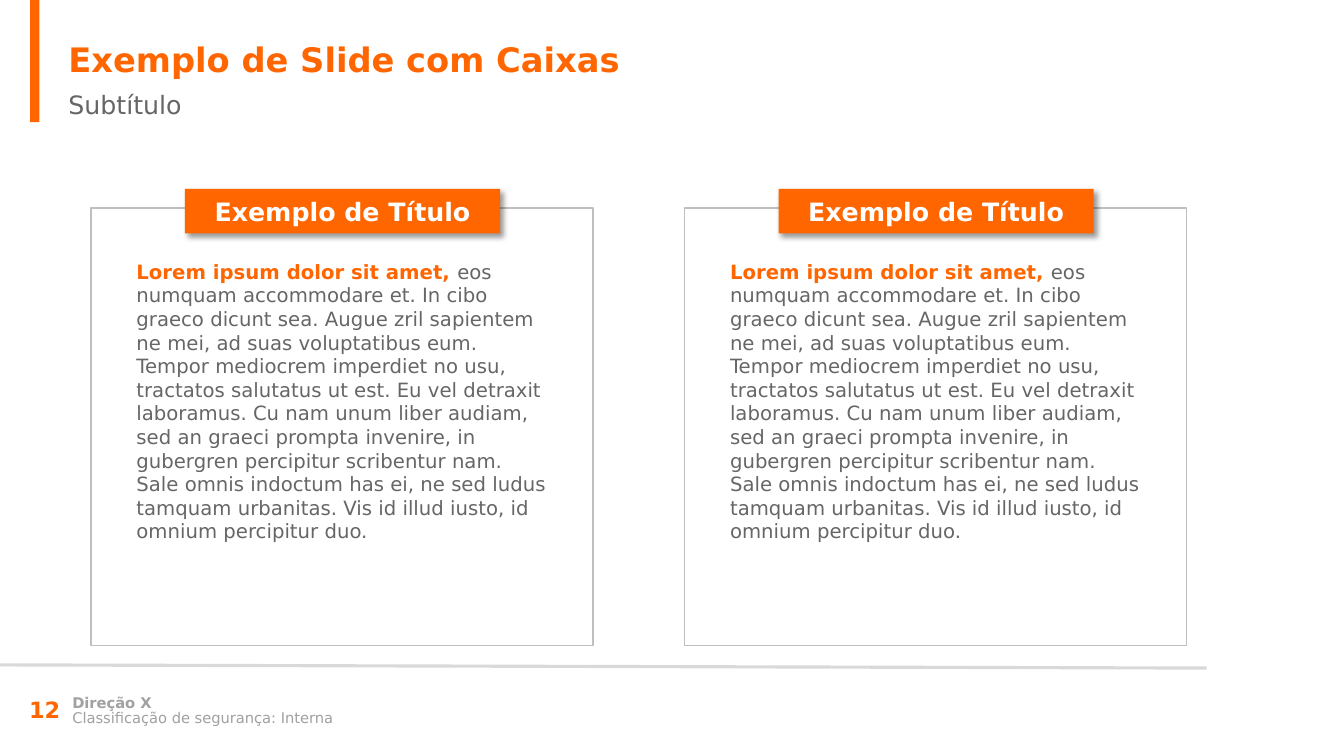
from dataclasses import dataclass

from lxml import etree
from pptx import Presentation
from pptx import util as u
from pptx.dml.color import RGBColor
from pptx.enum import shapes, text
from pptx.oxml import ns

LOREM = (
    "eos numquam accommodare et. In cibo graeco dicunt sea. Augue zril "
    "sapientem ne mei, ad suas voluptatibus eum. Tempor mediocrem imperdiet "
    "no usu, tractatos salutatus ut est. Eu vel detraxit laboramus. Cu nam "
    "unum liber audiam, sed an graeci prompta invenire, in gubergren "
    "percipitur scribentur nam. Sale omnis indoctum has ei, ne sed ludus "
    "tamquam urbanitas. Vis id illud iusto, id omnium percipitur duo."
)


@dataclass(frozen=True)
class Theme:
    font: str = "DejaVu Sans"
    orange: str = "FF6600"
    gray: str = "666666"
    pale: str = "A1A1A1"
    rule: str = "D9D9D9"
    edge: str = "BFBFBF"
    white: str = "FFFFFF"
    black: str = "000000"
    title: float = 24
    head: float = 18
    page: float = 16
    body: float = 14
    foot: float = 10.5


class Deck:
    """Draws styled elements on the current slide."""

    def __init__(self, theme, slide):
        self.theme = theme
        self.slide = slide

    def fill_text(self, shape, runs, size, mid=False, center=False, lead=None):
        frame = shape.text_frame
        frame.word_wrap = True
        frame.vertical_anchor = text.MSO_ANCHOR.MIDDLE if mid else text.MSO_ANCHOR.TOP
        para = frame.paragraphs[0]
        para.alignment = text.PP_ALIGN.CENTER if center else text.PP_ALIGN.LEFT
        para.line_spacing = lead
        for words, color, bold in runs:
            run = para.add_run()
            run.text = words
            run.font.name = self.theme.font
            run.font.size = u.Pt(size)
            run.font.bold = bold
            run.font.color.rgb = RGBColor.from_string(color)

    def label(self, box, runs, size, **style):
        shape = self.slide.shapes.add_textbox(*map(u.Cm, box))
        self.fill_text(shape, runs, size, **style)

    def rect(self, box, fill=None, edge=None):
        shape = self.slide.shapes.add_shape(
            shapes.MSO_SHAPE.RECTANGLE, *map(u.Cm, box))
        shape.shadow.inherit = False
        if fill:
            shape.fill.solid()
            shape.fill.fore_color.rgb = RGBColor.from_string(fill)
        else:
            shape.fill.background()
        if edge:
            shape.line.color.rgb = RGBColor.from_string(edge)
            shape.line.width = u.Pt(1)
        else:
            shape.line.fill.background()
        return shape

    def line(self, ends, color, width):
        rule = self.slide.shapes.add_connector(
            shapes.MSO_CONNECTOR.STRAIGHT, *map(u.Cm, ends))
        rule.line.color.rgb = RGBColor.from_string(color)
        rule.line.width = u.Pt(width)
        etree.SubElement(rule._element.spPr, ns.qn("a:effectLst"))

    def shade(self, shape):
        effect = shape._element.spPr.find(ns.qn("a:effectLst"))
        outer = etree.SubElement(
            effect, ns.qn("a:outerShdw"), blurRad=str(u.Pt(4)),
            dist=str(u.Pt(3)), dir="2700000", algn="tl", rotWithShape="0")
        color = etree.SubElement(outer, ns.qn("a:srgbClr"), val=self.theme.black)
        etree.SubElement(color, ns.qn("a:alpha"), val="40000")

    def card(self, left, title, lead, body):
        look = self.theme
        self.rect((left, 5.23, 12.62, 11), edge=look.edge)
        self.label((left + 0.89, 6.4, 10.8, 9.3),
                   [(lead, look.orange, True), (body, look.gray, False)], look.body)
        tag = self.rect((left + 2.36, 4.75, 7.92, 1.12), fill=look.orange)
        self.shade(tag)
        self.fill_text(tag, [(title, look.white, True)], look.head,
                       mid=True, center=True)


def main():
    look = Theme()
    show = Presentation()
    show.slide_width, show.slide_height = u.Cm(33.78), u.Cm(19)
    deck = Deck(look, show.slides.add_slide(show.slide_layouts[6]))

    deck.rect((0.76, 0, 0.23, 3.07), fill=look.orange)
    deck.label((1.47, 0.86, 31.55, 1.27),
               [("Exemplo de Slide com Caixas", look.orange, True)], look.title)
    deck.label((1.47, 2.13, 31.55, 1.02),
               [("Subtítulo", look.gray, False)], look.head)

    for col in range(2):
        deck.card(2.29 + col * 14.92, "Exemplo de Título",
                  "Lorem ipsum dolor sit amet, ", LOREM)

    deck.line((0, 16.71, 30.33, 16.79), look.rule, 2.25)
    deck.label((0.48, 17.32, 1.75, 1.02),
               [("12", look.orange, True)], look.page, mid=True)
    foot = [("Direção X", True), ("Classificação de segurança: Interna", False)]
    for row, (words, bold) in enumerate(foot):
        deck.label((1.57, 17.37 + row * 0.38, 19.13, 0.64),
                   [(words, look.pale, bold)], look.foot, mid=True, lead=0.85)

    show.save("out.pptx")


if __name__ == "__main__":
    main()
